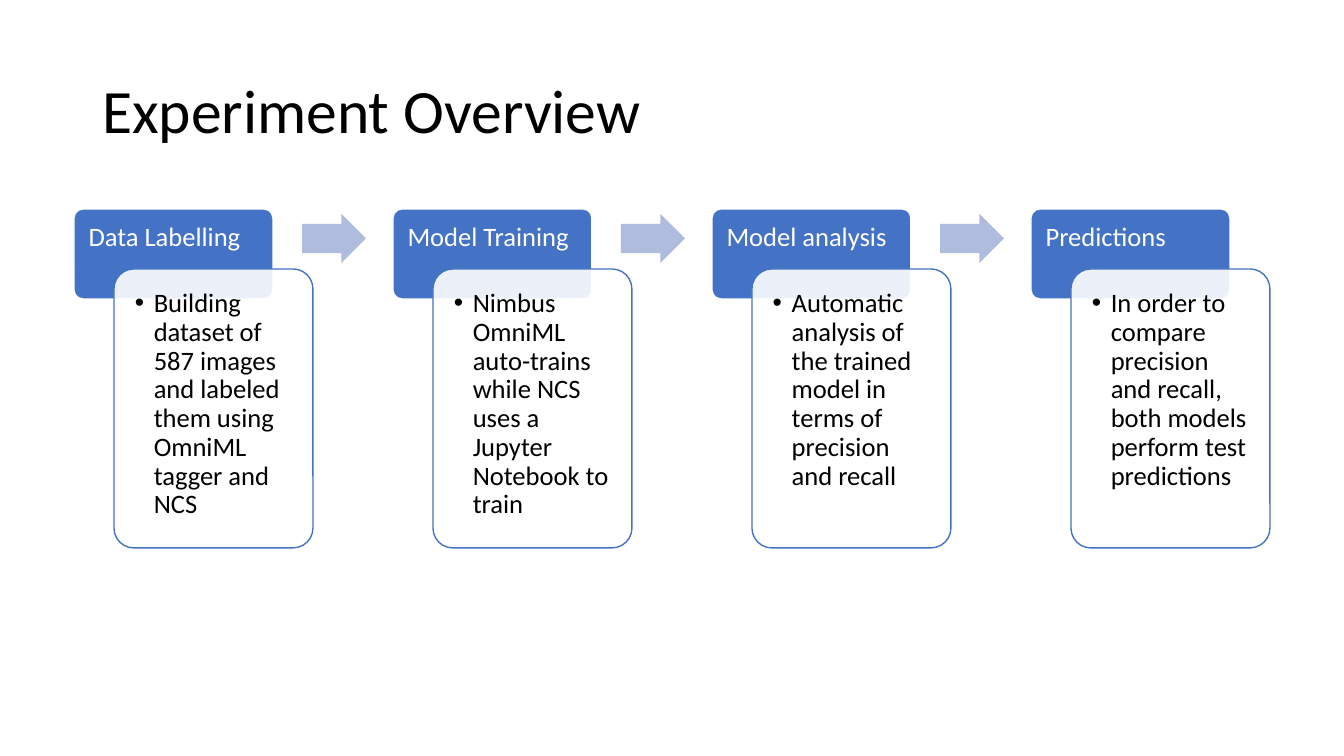
from lxml.etree import SubElement
from pptx import Presentation
from pptx.dml.color import RGBColor
from pptx.enum.shapes import MSO_SHAPE
from pptx.enum.text import MSO_ANCHOR, MSO_AUTO_SIZE, PP_ALIGN
from pptx.oxml.ns import qn
from pptx.util import Emu, Pt

HEADING = "Experiment Overview"
STAGES = [
    ("Data Labelling",
     "Building dataset of 587 images and labeled them using OmniML tagger and NCS"),
    ("Model Training",
     "Nimbus OmniML auto-trains while NCS uses a Jupyter Notebook to train"),
    ("Model analysis",
     "Automatic analysis of the trained model in terms of precision and recall"),
    ("Predictions",
     "In order to compare precision and recall, both models perform test predictions"),
]

FONT = "Calibri"
BLACK = RGBColor(0x00, 0x00, 0x00)
WHITE = RGBColor(0xFF, 0xFF, 0xFF)
BLUE = RGBColor(0x44, 0x72, 0xC4)
PALE_BLUE = RGBColor(0xB0, 0xBC, 0xDE)

STAGE_LEFT, STAGE_TOP, STAGE_STEP = 74, 209, 319
CARD_WIDTH, LABEL_HEIGHT, DETAIL_HEIGHT = 199, 90, 279
DETAIL_DX, DETAIL_DY = 40, 60
ARROW_DX, ARROW_DY, ARROW_WIDTH, ARROW_HEIGHT = 228, 5, 64, 49
LABEL_INSET, DETAIL_INSET, BULLET_INDENT = 12, 15, 19


def px(length):
    return Emu(round(length * 914400 / 100.8))


def write(frame, text, size, color):
    frame.text = text
    frame.word_wrap = True
    frame.auto_size = MSO_AUTO_SIZE.NONE
    paragraph = frame.paragraphs[0]
    paragraph.alignment = PP_ALIGN.LEFT
    paragraph.line_spacing = 0.9
    font = paragraph.runs[0].font
    font.name, font.size, font.color.rgb = FONT, Pt(size), color
    return paragraph


def add_block(kind, left, top, width, height, fill, adjustments):
    block = slide.shapes.add_shape(kind, px(left), px(top), px(width), px(height))
    block.shadow.inherit = False
    block.fill.solid()
    block.fill.fore_color.rgb = fill
    block.line.fill.background()
    for index, value in enumerate(adjustments):
        block.adjustments[index] = value
    return block


def add_card(left, top, height, fill, line, text, color, inset):
    card = add_block(MSO_SHAPE.ROUNDED_RECTANGLE, left, top, CARD_WIDTH, height, fill, [0.1])
    card.line.color.rgb = line
    card.line.width = Pt(1)
    frame = card.text_frame
    frame.vertical_anchor = MSO_ANCHOR.TOP
    frame.margin_left = frame.margin_right = px(inset)
    frame.margin_top = frame.margin_bottom = px(inset)
    return card, write(frame, text, 19, color)


def add_bullet(paragraph):
    properties = paragraph._p.get_or_add_pPr()
    properties.set("marL", str(px(BULLET_INDENT)))
    properties.set("indent", str(-px(BULLET_INDENT)))
    SubElement(properties, qn("a:buFont")).set("typeface", "Arial")
    SubElement(properties, qn("a:buChar")).set("char", "•")


def set_opacity(card, percent):
    color = card.fill._xPr.find(qn("a:solidFill"))[0]
    SubElement(color, qn("a:alpha")).set("val", str(percent * 1000))


presentation = Presentation()
presentation.slide_width, presentation.slide_height = px(1344), px(756)
slide = presentation.slides.add_slide(presentation.slide_layouts[5])

title = slide.shapes.title
title.left, title.top, title.width, title.height = px(92), px(41), px(1159), px(146)
title.text_frame.vertical_anchor = MSO_ANCHOR.MIDDLE
write(title.text_frame, HEADING, 44, BLACK)

for number, (label, detail) in enumerate(STAGES):
    left = STAGE_LEFT + number * STAGE_STEP
    add_card(left, STAGE_TOP, LABEL_HEIGHT, BLUE, WHITE, label, WHITE, LABEL_INSET)
    detail_card, detail_line = add_card(left + DETAIL_DX, STAGE_TOP + DETAIL_DY, DETAIL_HEIGHT,
                                        WHITE, BLUE, detail, BLACK, DETAIL_INSET)
    set_opacity(detail_card, 90)
    add_bullet(detail_line)
    if number < len(STAGES) - 1:
        add_block(MSO_SHAPE.RIGHT_ARROW, left + ARROW_DX, STAGE_TOP + ARROW_DY,
                  ARROW_WIDTH, ARROW_HEIGHT, PALE_BLUE, [0.6, 0.5])

presentation.save("out.pptx")
